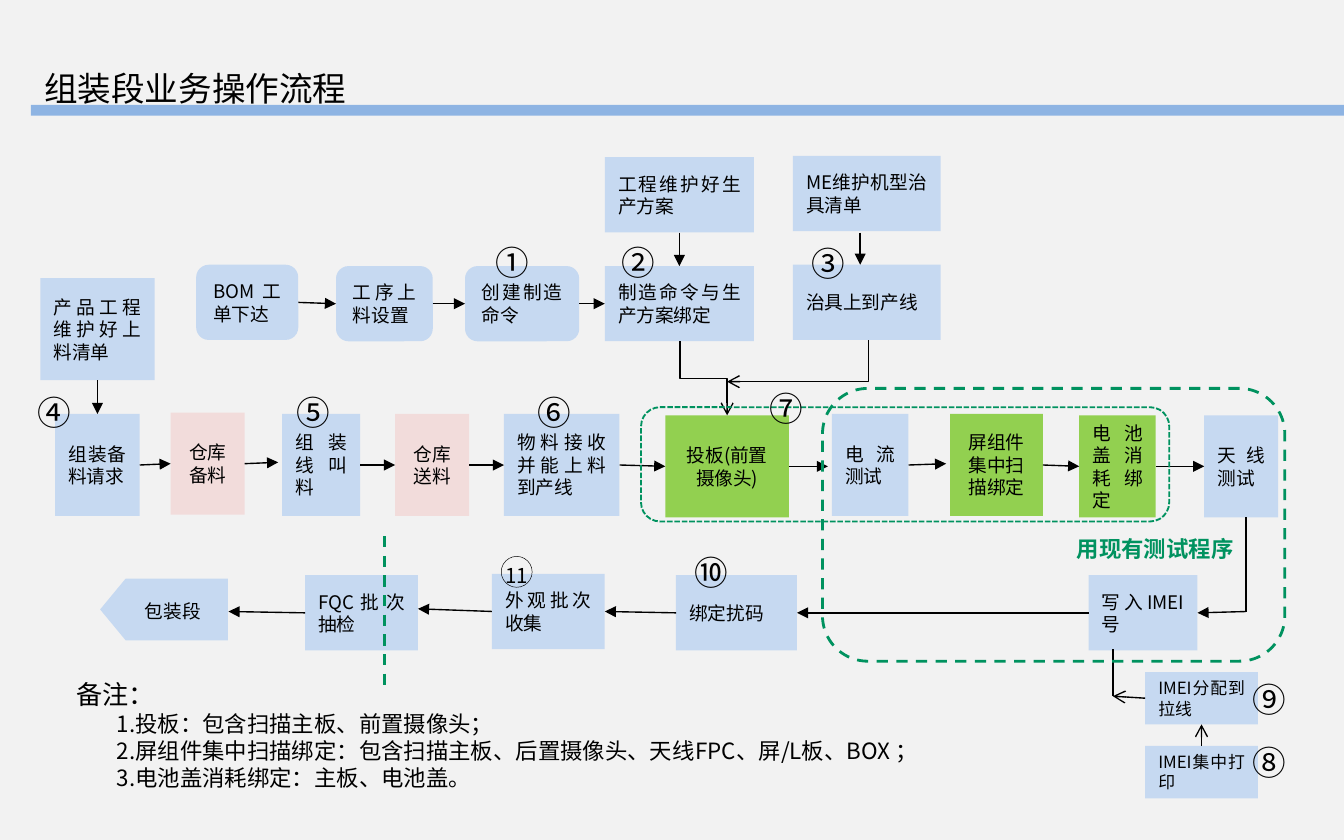
from lxml.etree import SubElement
from pptx import Presentation
from pptx.dml.color import RGBColor
from pptx.enum.dml import MSO_LINE as Dash
from pptx.enum.shapes import MSO_CONNECTOR as Link, MSO_SHAPE as Shape
from pptx.enum.text import MSO_ANCHOR as Anchor, PP_ALIGN as Align
from pptx.oxml.ns import qn
from pptx.util import Inches, Pt

THEME = {
    "font": "Noto Sans CJK SC", "accent_font": "Calibri",
    "back": "F2F2F2", "ink": "000000", "bar": "8EB4E3",
    "step": "C6D9F1", "store": "F2DCDB", "scan": "92D050", "test": "00925F",
    "title": 18, "marker": 18, "notes": 14, "note": 12, "scope": 12,
    "badge": 11, "body": 10, "small": 9, "line": 0.75,
}
J, C, L = Align.JUSTIFY, Align.CENTER, Align.LEFT
RECT, ROUND = Shape.RECTANGLE, Shape.ROUNDED_RECTANGLE

TITLE = "组装段业务操作流程"
SCOPE = "用现有测试程序"
PACKING = "包装段"
NOTES_HEAD = "备注："
NOTES = [
    "1.投板：包含扫描主板、前置摄像头；",
    "2.屏组件集中扫描绑定：包含扫描主板、后置摄像头、天线FPC、屏/L板、BOX ；",
    "3.电池盖消耗绑定：主板、电池盖。",
]

# Rows of steps: (shape, height, type size, [(text, left, top, width, fill, alignment)])
ROWS = [
    (ROUND, 0.56, "body", [
        ("BOM工单下达", 1.46, 1.97, 0.76, "step", J),
        ("工序上料设置", 2.5, 1.98, 0.72, "step", J),
        ("创建制造命令", 3.46, 1.98, 0.85, "step", J)]),
    (RECT, 0.56, "body", [
        ("工程维护好生产方案", 4.5, 1.17, 1.11, "step", J),
        ("制造命令与生产方案绑定", 4.5, 1.98, 1.11, "step", J),
        ("ME维护机型治具清单", 5.9, 1.16, 1.1, "step", J),
        ("治具上到产线", 5.9, 1.97, 1.1, "step", J)]),
    (RECT, 0.76, "body", [
        ("产品工程维护好上料清单", 0.3, 2.07, 0.85, "step", J),
        ("组装备料请求", 0.41, 3.08, 0.63, "step", J),
        ("仓库备料", 1.27, 3.07, 0.55, "store", C),
        ("组装线叫料", 2.1, 3.08, 0.58, "step", J),
        ("仓库送料", 2.94, 3.08, 0.55, "store", C),
        ("物料接收并能上料到产线", 3.75, 3.08, 0.86, "step", J),
        ("投板(前置摄像头)", 4.95, 3.09, 0.92, "scan", C),
        ("电流测试", 6.19, 3.08, 0.57, "step", J),
        ("屏组件集中扫描绑定", 7.07, 3.08, 0.69, "scan", C),
        ("电池盖消耗绑定", 8.03, 3.09, 0.57, "scan", J),
        ("天线测试", 8.96, 3.09, 0.55, "step", J)]),
    (RECT, 0.56, "body", [
        ("写入IMEI号", 8.1, 4.28, 0.81, "step", J),
        ("绑定扰码", 5.03, 4.28, 0.9, "step", J),
        ("外观批次收集", 3.66, 4.27, 0.84, "step", J),
        ("FQC批次抽检", 2.27, 4.28, 0.84, "step", J)]),
    (RECT, 0.39, "small", [
        ("IMEI分配到拉线", 8.52, 5, 0.84, "step", J),
        ("IMEI集中打印", 8.52, 5.55, 0.84, "step", J)]),
]

# Straight flows by arrowhead: (x1, y1, x2, y2)
FLOWS = {
    "triangle": [
        (2.22, 2.27, 2.5, 2.27), (3.22, 2.27, 3.46, 2.27), (4.31, 2.27, 4.5, 2.28),
        (5.07, 1.73, 5.07, 1.98), (6.4, 1.73, 6.4, 1.97), (0.73, 2.81, 0.73, 3.07),
        (1.03, 3.46, 1.27, 3.46), (1.84, 3.44, 2.07, 3.44), (2.69, 3.46, 2.93, 3.46),
        (3.51, 3.44, 3.75, 3.44), (4.61, 3.45, 4.94, 3.45), (5.89, 3.47, 6.16, 3.47),
        (6.76, 3.45, 7.04, 3.45), (7.75, 3.45, 8.03, 3.45), (8.6, 3.45, 8.96, 3.45),
        (9.27, 4.55, 8.92, 4.55), (8.1, 4.56, 5.92, 4.56), (5.03, 4.55, 4.49, 4.55),
        (3.65, 4.53, 3.11, 4.53), (2.27, 4.55, 1.7, 4.55)],
    "arrow": [(8.52, 5.18, 8.28, 5.18), (8.94, 5.55, 8.94, 5.39)],
    None: [(9.27, 3.85, 9.27, 4.55), (8.28, 4.83, 8.28, 5.18)],
}
# Flows that leave downwards and then turn
ELBOWS = [("bentConnector3", 5.06, 2.54, 5.41, 3.09),
          ("bentConnector2", 6.46, 2.53, 5.41, 2.84)]
# Dashed frames: (left, top, width, height, line width, dash)
FRAMES = [(6.12, 2.89, 3.44, 2.03, 1.5, Dash.DASH),
          (4.77, 3.03, 3.93, 0.85, 1, Dash.SQUARE_DOT)]
MARKERS = [("①", 3.59, 1.75), ("②", 4.53, 1.75), ("③", 5.94, 1.76),
           ("④", 0.18, 2.87), ("⑤", 2.11, 2.87), ("⑥", 3.9, 2.87),
           ("⑦", 5.63, 2.84), ("⑧", 9.22, 5.47), ("⑨", 9.22, 5), ("⑩", 5.07, 4.06)]

deck = Presentation()
deck.slide_width, deck.slide_height = Inches(10), Inches(6.25)
slide = deck.slides.add_slide(deck.slide_layouts[6])
steps = []


def rgb(key):
    return RGBColor.from_string(THEME[key])


def style(paragraph, size, align=L, color="ink", font="font", bold=False):
    paragraph.alignment = align
    for run in paragraph.runs:
        run.font.size, run.font.bold = Pt(THEME[size]), bold
        run.font.name = THEME[font]
        run.font.color.rgb = rgb(color)
        SubElement(run.font._element, qn("a:ea"), typeface=THEME["font"])


def add_block(kind, box, fill=None, line=None, width=1, dash=None, parent=slide):
    block = parent.shapes.add_shape(kind, *map(Inches, box))
    block.shadow.inherit = False
    if fill:
        block.fill.solid()
        block.fill.fore_color.rgb = rgb(fill)
    else:
        block.fill.background()
    if line:
        block.line.color.rgb, block.line.width = rgb(line), Pt(width)
        block.line.dash_style = dash
    else:
        block.line.fill.background()
    return block


def add_step(kind, box, fill, text, size, align):
    step = add_block(kind, box, fill)
    step.text_frame.text = text
    step.text_frame.word_wrap = True
    step.text_frame.vertical_anchor = Anchor.MIDDLE
    style(step.text_frame.paragraphs[0], size, align)
    return step


def add_label(text, box, size, parent=slide, **look):
    frame = parent.shapes.add_textbox(*map(Inches, box)).text_frame
    frame.word_wrap = True
    frame.text = text
    style(frame.paragraphs[0], size, **look)
    return frame


def add_line(kind, ends, head=None, color="ink", width=THEME["line"], dash=None):
    link = slide.shapes.add_connector(kind, *map(Inches, ends))
    link.line.color.rgb, link.line.width = rgb(color), Pt(width)
    link.line.dash_style = dash
    if head:
        SubElement(link.line._ln, qn("a:tailEnd"), type=head)
    SubElement(link._element.spPr, qn("a:effectLst"))
    return link


def join(connect, x, y):
    """Glue a line end to the step whose side has its middle at this point."""
    for step in steps:
        mid_x, mid_y = step.left + step.width / 2, step.top + step.height / 2
        sides = [(mid_x, step.top), (step.left, mid_y),
                 (mid_x, step.top + step.height), (step.left + step.width, mid_y)]
        for site, (side_x, side_y) in enumerate(sides):
            if max(abs(side_x - Inches(x)), abs(side_y - Inches(y))) < Inches(0.025):
                connect(step, site)
                return


def add_elbow(preset, x1, y1, x2, y2):
    """Turn an elbow a quarter about its centre, so that it starts vertically."""
    mid_x, mid_y = (x1 + x2) / 2, (y1 + y2) / 2
    half_w, half_h = abs(y2 - y1) / 2, abs(x2 - x1) / 2
    flip = -1 if x2 > x1 else 1
    link = add_line(Link.ELBOW, (mid_x - flip * half_w, mid_y - half_h,
                                 mid_x + flip * half_w, mid_y + half_h), "arrow")
    link._element.spPr.find(qn("a:xfrm")).set("rot", str((270 if x2 > x1 else 90) * 60000))
    link._element.spPr.find(qn("a:prstGeom")).set("prst", preset)


slide.background.fill.solid()
slide.background.fill.fore_color.rgb = rgb("back")
add_block(RECT, (0.23, 0.78, 9.77, 0.08), "bar")
add_label(TITLE, (0.23, 0.46, 3.28, 0.4), "title")

for kind, height, size, row in ROWS:
    for text, left, top, width, fill, align in row:
        steps.append(add_step(kind, (left, top, width, height), fill, text, size, align))
add_block(Shape.FLOWCHART_OFFPAGE_CONNECTOR, (0.99, 4.06, 0.46, 0.95), "step").rotation = 90
add_step(RECT, (0.98, 4.41, 0.63, 0.27), "step", PACKING, "body", L)

for head, flows in FLOWS.items():
    for ends in flows:
        flow = add_line(Link.STRAIGHT, ends, head)
        join(flow.begin_connect, *ends[:2])
        join(flow.end_connect, *ends[2:])
for elbow in ELBOWS:
    add_elbow(*elbow)

for *box, width, dash in FRAMES:
    add_block(ROUND, box, None, "test", width, dash)
add_line(Link.STRAIGHT, (2.86, 3.99, 2.86, 5.13), None, "test", 1.5, Dash.DASH)
add_label(SCOPE, (7.9, 3.93, 1.39, 0.3), "scope", align=C, color="test",
          font="accent_font", bold=True)

for mark, left, top in MARKERS:
    add_label(mark, (left, top, 0.47, 0.4), "marker")
badge = slide.shapes.add_group_shape()
add_block(Shape.OVAL, (3.73, 4.14, 0.23, 0.23), None, "ink", 0.25, parent=badge)
add_label("11", (3.66, 4.14, 0.47, 0.29), "badge", parent=badge)

notes = add_label(NOTES_HEAD, (0.47, 5, 6.97, 1.14), "notes")
for note in NOTES:
    paragraph = notes.add_paragraph()
    paragraph.text = note
    paragraph._p.get_or_add_pPr().set("marL", str(Inches(0.3)))
    style(paragraph, "note")

deck.save("out.pptx")
